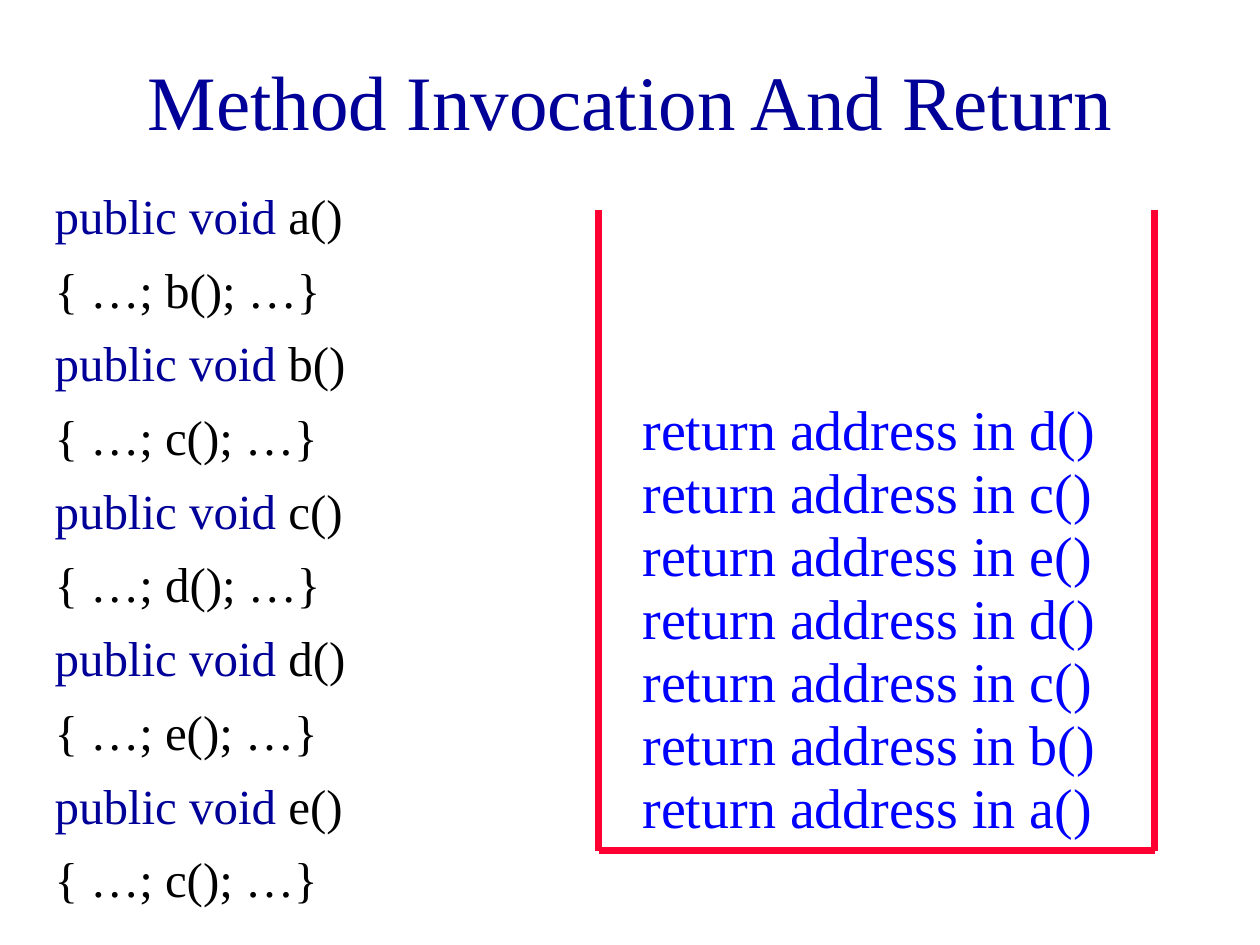
"""Build the slide about method invocation and the return address stack."""
from dataclasses import dataclass

from lxml import etree
from pptx import Presentation
from pptx.dml.color import RGBColor
from pptx.enum.shapes import MSO_CONNECTOR
from pptx.enum.text import MSO_ANCHOR, MSO_AUTO_SIZE, PP_ALIGN
from pptx.oxml.ns import qn
from pptx.util import Emu, Pt

PIXEL = 914400 // 126
LINE = MSO_CONNECTOR.STRAIGHT
MIDDLE, TOP = MSO_ANCHOR.MIDDLE, MSO_ANCHOR.TOP
NO_FIT, GROW = MSO_AUTO_SIZE.NONE, MSO_AUTO_SIZE.SHAPE_TO_FIT_TEXT
LEFT, CENTER = PP_ALIGN.LEFT, PP_ALIGN.CENTER
FONT = "Times New Roman"
COLORS = {"navy": "000099", "code": "000000", "wall": "FF0033", "address": "0000FF"}


@dataclass(frozen=True)
class Box:
    """Rectangle in pixels."""
    left: int
    top: int
    width: int
    height: int


@dataclass(frozen=True)
class Wall:
    """Straight line in pixels."""
    start_x: int
    start_y: int
    end_x: int
    end_y: int


@dataclass(frozen=True)
class Method:
    """Method and the method it calls."""
    name: str
    callee: str


TITLE_BOX = Box(95, 21, 1071, 158)
CODE_BOX = Box(42, 179, 357, 725)
WALL_LEFT, WALL_RIGHT, WALL_TOP, WALL_BOTTOM = 599, 1155, 210, 851
WALLS = [
    Wall(WALL_LEFT, WALL_TOP, WALL_LEFT, WALL_BOTTOM),
    Wall(WALL_LEFT, WALL_BOTTOM, WALL_RIGHT, WALL_BOTTOM),
    Wall(WALL_RIGHT, WALL_TOP, WALL_RIGHT, WALL_BOTTOM),
]
METHODS = [Method(*pair) for pair in ("ab", "bc", "cd", "de", "ec")]
CALL_ORDER = "abcdecd"
ADDRESS_BOTTOM, ADDRESS_STEP = 766, 63


def px(pixels: int) -> Emu:
    """Convert pixels to EMU."""
    return Emu(pixels * PIXEL)


def place(shape, box: Box) -> None:
    """Move and size a shape."""
    shape.left, shape.top = px(box.left), px(box.top)
    shape.width, shape.height = px(box.width), px(box.height)


def add_run(paragraph, text: str, size: int, color: str) -> None:
    """Append a formatted run."""
    run = paragraph.add_run()
    run.text = text
    run.font.name = FONT
    run.font.size = Pt(size)
    run.font.color.rgb = RGBColor.from_string(COLORS[color])


def format_frame(shape, anchor, auto_size):
    """Set wrapping, anchor and fit, and return the text frame."""
    frame = shape.text_frame
    frame.word_wrap = True
    frame.vertical_anchor = anchor
    frame.auto_size = auto_size
    return frame


def fill_title(slide) -> None:
    """Write the title."""
    title = slide.shapes.title
    place(title, TITLE_BOX)
    paragraph = format_frame(title, MIDDLE, NO_FIT).paragraphs[0]
    paragraph.alignment = CENTER
    add_run(paragraph, "Method Invocation And Return", 44, "navy")


def fill_code(slide) -> None:
    """Write the method listing in the body placeholder."""
    body = slide.placeholders[1]
    place(body, CODE_BOX)
    frame = format_frame(body, TOP, NO_FIT)
    lines = []
    for method in METHODS:
        lines.append([("public void", "navy"), (f" {method.name}()", "code")])
        lines.append([(f"{{ …; {method.callee}(); …}}", "code")])
    for index, line in enumerate(lines):
        paragraph = frame.add_paragraph() if index else frame.paragraphs[0]
        paragraph.alignment = LEFT
        paragraph.space_before = Pt(8.5)
        properties = paragraph._p.get_or_add_pPr()
        properties.set("marL", str(px(48)))
        properties.set("indent", str(px(-48)))
        etree.SubElement(properties, qn("a:buNone"))
        for text, color in line:
            add_run(paragraph, text, 28, color)


def add_wall(group, wall: Wall) -> None:
    """Draw one side of the stack."""
    connector = group.shapes.add_connector(
        LINE, px(wall.start_x), px(wall.start_y), px(wall.end_x), px(wall.end_y)
    )
    connector.line.color.rgb = RGBColor.from_string(COLORS["wall"])
    connector.line.width = Pt(4)
    etree.SubElement(connector._element.spPr, qn("a:effectLst"))


def add_address(slide, level: int, name: str) -> None:
    """Put one return address at its level in the stack."""
    top = ADDRESS_BOTTOM - level * ADDRESS_STEP
    shape = slide.shapes.add_textbox(px(630), px(top), px(525), px(79))
    paragraph = format_frame(shape, TOP, GROW).paragraphs[0]
    paragraph.space_before = Pt(20)
    add_run(paragraph, f"return address in {name}()", 32, "address")


def main() -> None:
    """Create and save the presentation."""
    presentation = Presentation()
    presentation.slide_width, presentation.slide_height = px(1260), px(945)
    slide = presentation.slides.add_slide(presentation.slide_layouts[1])
    fill_title(slide)
    fill_code(slide)
    stack = slide.shapes.add_group_shape()
    for wall in WALLS:
        add_wall(stack, wall)
    for level, name in enumerate(CALL_ORDER):
        add_address(slide, level, name)
    presentation.save("out.pptx")


main()
